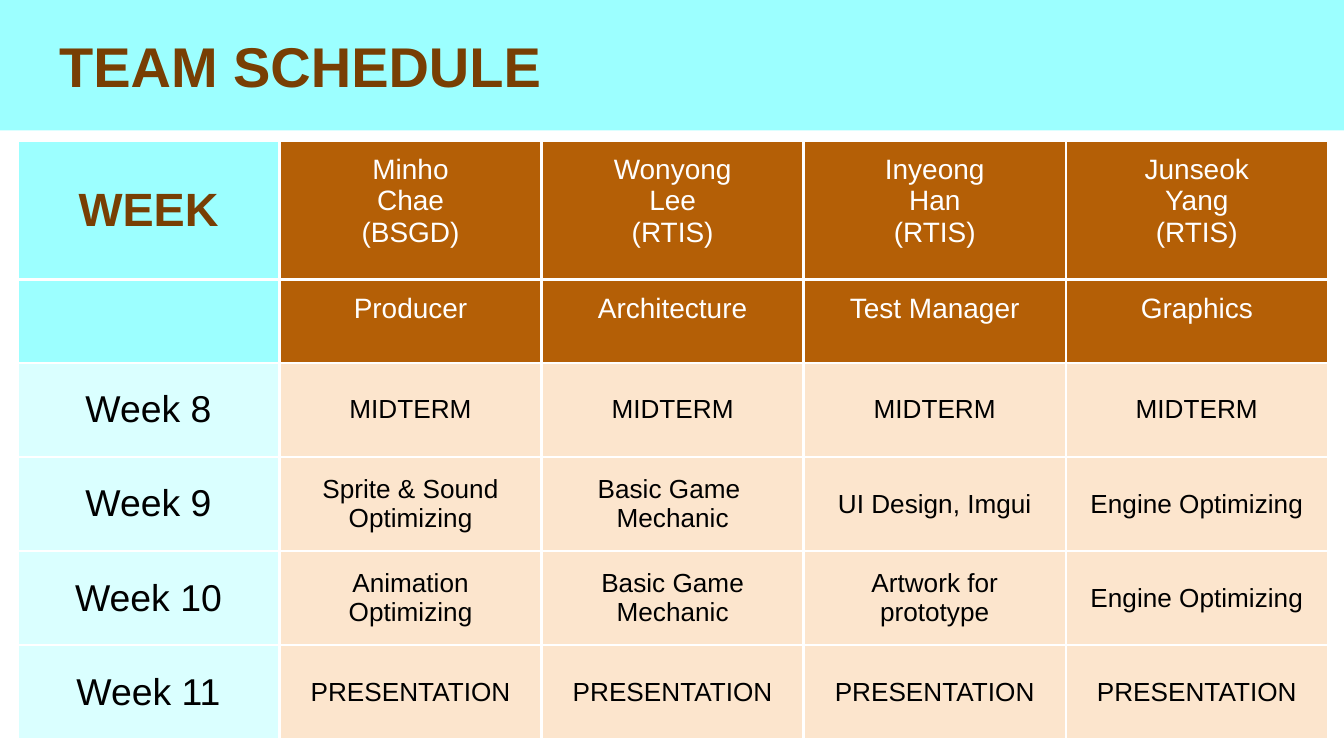
"""Build the team schedule slide."""
from dataclasses import dataclass

from lxml import etree
from pptx import Presentation
from pptx.dml.color import RGBColor
from pptx.enum.shapes import MSO_SHAPE
from pptx.enum.text import MSO_ANCHOR, PP_ALIGN
from pptx.oxml.ns import qn
from pptx.util import Inches, Pt

RECT = MSO_SHAPE.RECTANGLE
TOP, MIDDLE = MSO_ANCHOR.TOP, MSO_ANCHOR.MIDDLE
LEFT, CENTER = PP_ALIGN.LEFT, PP_ALIGN.CENTER
FONT = "Arial"
CYAN, BROWN, WHITE = "9CFFFF", "783F04", "FFFFFF"
WIDTH = Inches(10)
COL = 1.95
HEIGHTS = [1.03, 0.62] + [0.7] * 4
ROWS = [
    ["WEEK", "Minho\nChae\n(BSGD)", "Wonyong\nLee\n(RTIS)",
     "Inyeong\nHan\n(RTIS)", "Junseok\nYang\n(RTIS)"],
    ["", "Producer", "Architecture", "Test Manager", "Graphics"],
    ["Week 8"] + ["MIDTERM"] * 4,
    ["Week 9", "Sprite & Sound Optimizing", "Basic Game \nMechanic",
     "UI Design, Imgui", "Engine Optimizing"],
    ["Week 10", "Animation Optimizing", "Basic Game Mechanic",
     "Artwork for prototype", "Engine Optimizing"],
    ["Week 11"] + ["PRESENTATION"] * 4,
]


@dataclass
class Style:
    size: int
    color: str
    fill: str
    bold: bool = False
    anchor: MSO_ANCHOR = MIDDLE
    align: PP_ALIGN = CENTER


TITLE = Style(30, BROWN, CYAN, bold=True, align=LEFT)
CORNER = Style(25, BROWN, CYAN, bold=True)
MEMBER = Style(15, WHITE, "B45F06", anchor=TOP)
WEEK = Style(20, "000000", "DAFFFF")
TASK = Style(14, "000000", "FCE5CD")


def paint(fill, color: str) -> None:
    fill.solid()
    fill.fore_color.rgb = RGBColor.from_string(color)


def write(box, frame, text: str, style: Style) -> None:
    frame.text = text
    box.vertical_anchor = style.anchor
    for side in ("left", "right", "top", "bottom"):
        setattr(box, f"margin_{side}", Inches(0.1))
    for para in frame.paragraphs:
        para.alignment = style.align
        for run in para.runs:
            font = run.font
            font.name, font.size, font.bold = FONT, Pt(style.size), style.bold
            font.color.rgb = RGBColor.from_string(style.color)


def edge(cell, color: str, width: float) -> None:
    props = cell._tc.get_or_add_tcPr()
    for spot, side in enumerate(("lnL", "lnR", "lnT", "lnB")):
        line = etree.Element(qn(f"a:{side}"), w=str(Pt(width)))
        fill = etree.SubElement(line, qn("a:solidFill"))
        etree.SubElement(fill, qn("a:srgbClr"), val=color)
        props.insert(spot, line)


def pick(row: int, col: int) -> Style:
    if row < 2:
        return MEMBER if col else CORNER
    return TASK if col else WEEK


def add_head(slide) -> None:
    band = slide.shapes.add_shape(RECT, 0, 0, WIDTH, Inches(0.97))
    band.shadow.inherit = False
    band.line.fill.background()
    paint(band.fill, TITLE.fill)
    title = slide.shapes.title
    title._element.addprevious(band._element)
    title.left, title.top = Inches(0.34), Inches(0.17)
    title.width, title.height = Inches(9.32), Inches(0.63)
    frame = title.text_frame
    frame.word_wrap = True
    write(frame, frame, "TEAM SCHEDULE", TITLE)


def add_grid(slide) -> None:
    cols = len(ROWS[0])
    table = slide.shapes.add_table(
        len(ROWS), cols, Inches(0.13), Inches(1.05),
        Inches(COL * cols), Inches(sum(HEIGHTS))).table
    for col in table.columns:
        col.width = Inches(COL)
    for r, (height, texts) in enumerate(zip(HEIGHTS, ROWS)):
        table.rows[r].height = Inches(height)
        for c, text in enumerate(texts):
            cell, style = table.cell(r, c), pick(r, c)
            paint(cell.fill, style.fill)
            write(cell, cell.text_frame, text, style)
            edge(cell, WHITE, 1.5)


def main() -> None:
    deck = Presentation()
    deck.slide_width, deck.slide_height = WIDTH, WIDTH * 9 // 16
    slide = deck.slides.add_slide(deck.slide_layouts[5])
    add_head(slide)
    add_grid(slide)
    deck.save("out.pptx")


if __name__ == "__main__":
    main()
